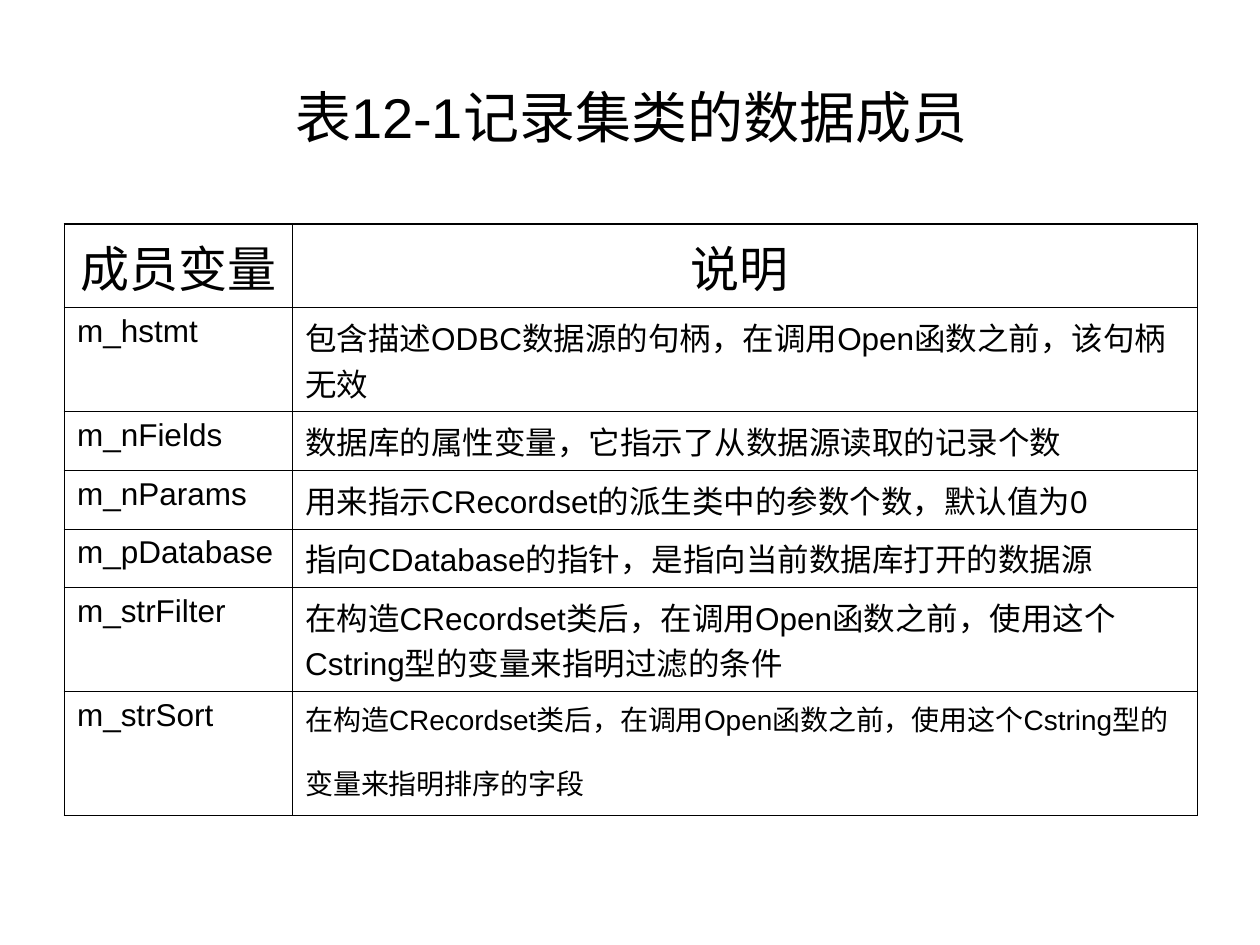
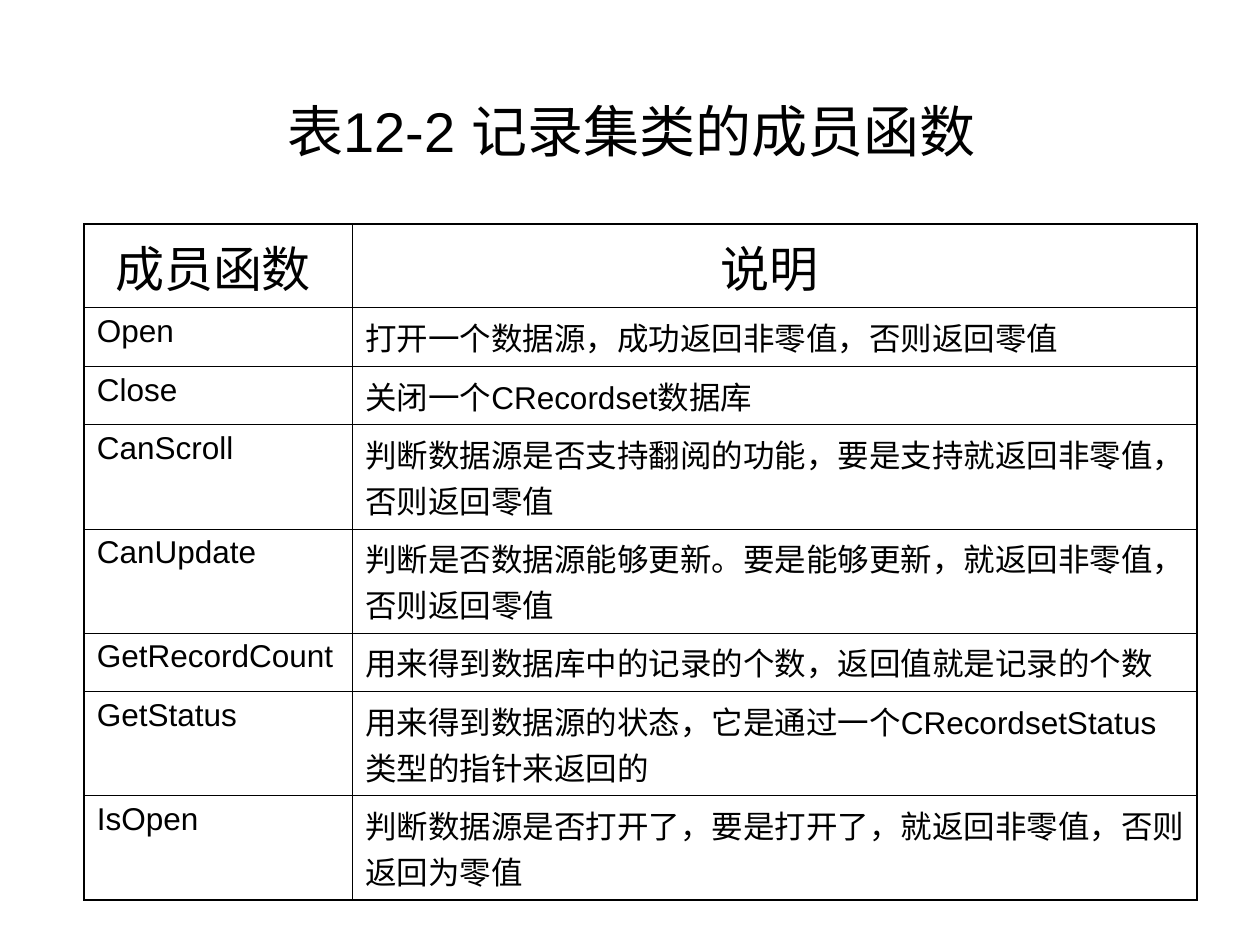
from lxml.etree import SubElement
from pptx import Presentation
from pptx.dml.color import RGBColor
from pptx.enum.lang import MSO_LANGUAGE_ID
from pptx.enum.text import MSO_ANCHOR, MSO_AUTO_SIZE, PP_ALIGN
from pptx.oxml.ns import qn
from pptx.util import Cm, Pt

COLORS = {"ink": "000000", "paper": "FFFFFF"}
FONT = {"name": "Arial", "bold": False, "language_id": MSO_LANGUAGE_ID.SIMPLIFIED_CHINESE}
TITLE_FRAME = {
    "word_wrap": True,
    "auto_size": MSO_AUTO_SIZE.NONE,
    "vertical_anchor": MSO_ANCHOR.MIDDLE,
}
PLAIN_TABLE = {"first_row": False, "horz_banding": False}
HEADING = {"alignment": PP_ALIGN.CENTER, "space_before": Pt(7)}
ENTRY = {"alignment": PP_ALIGN.LEFT, "space_before": Pt(4.5)}
OUTER_LINE, INNER_LINE = Pt(1.08), Pt(0.45)
HEADER_HEIGHT, ONE_LINE, TWO_LINES, LOOSE_LINES = 1.68, 1.18, 2.1, 2.48

MEMBER_VARIABLES = [
    ("m_hstmt", "包含描述ODBC数据源的句柄，在调用Open函数之前，该句柄无效", TWO_LINES),
    ("m_nFields", "数据库的属性变量，它指示了从数据源读取的记录个数", ONE_LINE),
    ("m_nParams", "用来指示CRecordset的派生类中的参数个数，默认值为0", ONE_LINE),
    ("m_pDatabase", "指向CDatabase的指针，是指向当前数据库打开的数据源", ONE_LINE),
    ("m_strFilter", "在构造CRecordset类后，在调用Open函数之前，使用这个Cstring型的变量来指明过滤的条件", TWO_LINES),
    ("m_strSort", "在构造CRecordset类后，在调用Open函数之前，使用这个Cstring型的变量来指明排序的字段", LOOSE_LINES),
]
MEMBER_FUNCTIONS = [
    ("Open", "打开一个数据源，成功返回非零值，否则返回零值", ONE_LINE),
    ("Close", "关闭一个CRecordset数据库", ONE_LINE),
    ("CanScroll", "判断数据源是否支持翻阅的功能，要是支持就返回非零值，否则返回零值", TWO_LINES),
    ("CanUpdate", "判断是否数据源能够更新。要是能够更新，就返回非零值，否则返回零值", TWO_LINES),
    ("GetRecordCount", "用来得到数据库中的记录的个数，返回值就是记录的个数", ONE_LINE),
    ("GetStatus", "用来得到数据源的状态，它是通过一个CRecordsetStatus类型的指针来返回的", TWO_LINES),
    ("IsOpen", "判断数据源是否打开了，要是打开了，就返回非零值，否则返回为零值", TWO_LINES),
]


def apply(target, values):
    for name, value in values.items():
        setattr(target, name, value)


def add_text(paragraph, text, size):
    run = paragraph.add_run()
    run.text = text
    apply(run.font, FONT | {"size": Pt(size)})
    run.font.color.rgb = RGBColor.from_string(COLORS["ink"])


def place_title(slide, box, text):
    title = slide.shapes.title
    apply(title, dict(zip(("left", "top", "width", "height"), map(Cm, box))))
    apply(title.text_frame, TITLE_FRAME)
    heading = title.text_frame.paragraphs[0]
    heading.alignment = PP_ALIGN.CENTER
    add_text(heading, text, 32)


def draw_borders(cell, outer_sides):
    properties = cell._tc.get_or_add_tcPr()
    for side in "LRTB":
        width = OUTER_LINE if side in outer_sides else INNER_LINE
        line = SubElement(properties, qn(f"a:ln{side}"), w=str(int(width)))
        fill = SubElement(line, qn("a:solidFill"))
        SubElement(fill, qn("a:srgbClr"), val=COLORS["ink"])
    cell.fill.background()


def add_member_table(slide, box, name_width, member_heading, members):
    left, top, width = box
    rows = [(member_heading, "说明 ", HEADER_HEIGHT), *members]
    heights = [height for *_, height in rows]
    frame = slide.shapes.add_table(
        len(rows), 2, Cm(left), Cm(top), Cm(width), Cm(sum(heights)))
    table = frame.table
    apply(table, PLAIN_TABLE)
    for column, column_width in zip(table.columns, (name_width, width - name_width)):
        column.width = Cm(column_width)
    last = len(rows) - 1
    for i, (name, description, height) in enumerate(rows):
        table.rows[i].height = Cm(height)
        for j, text in enumerate((name, description)):
            cell = table.cell(i, j)
            draw_borders(cell, "LR"[j] + "T" * (i == 0) + "B" * (i == last))
            paragraph = cell.text_frame.paragraphs[0]
            apply(paragraph, HEADING if i == 0 else ENTRY)
            loose = j == 1 and height == LOOSE_LINES
            add_text(paragraph, text, 28 if i == 0 else 16 if loose else 18)
            if loose:
                add_text(paragraph, " ", 28)


def add_member_slide(deck, title, title_top, table_box, name_width, heading, members):
    slide = deck.slides.add_slide(deck.slide_layouts[5])
    slide.background.fill.solid()
    slide.background.fill.fore_color.rgb = RGBColor.from_string(COLORS["paper"])
    place_title(slide, (1.3, title_top, 22.86, 1.8), title)
    add_member_table(slide, table_box, name_width, heading, members)


def main():
    deck = Presentation()
    apply(deck, {"slide_width": Cm(25.4), "slide_height": Cm(19.05)})
    add_member_slide(deck, "表12-1记录集类的数据成员", 1.45,
                     (1.3, 4.52, 22.84), 4.6, "成员变量 ", MEMBER_VARIABLES)
    add_member_slide(deck, "表12-2 记录集类的成员函数", 1.73,
                     (1.7, 4.52, 22.43), 5.41, "成员函数 ", MEMBER_FUNCTIONS)
    deck.save("out.pptx")


if __name__ == "__main__":
    main()
